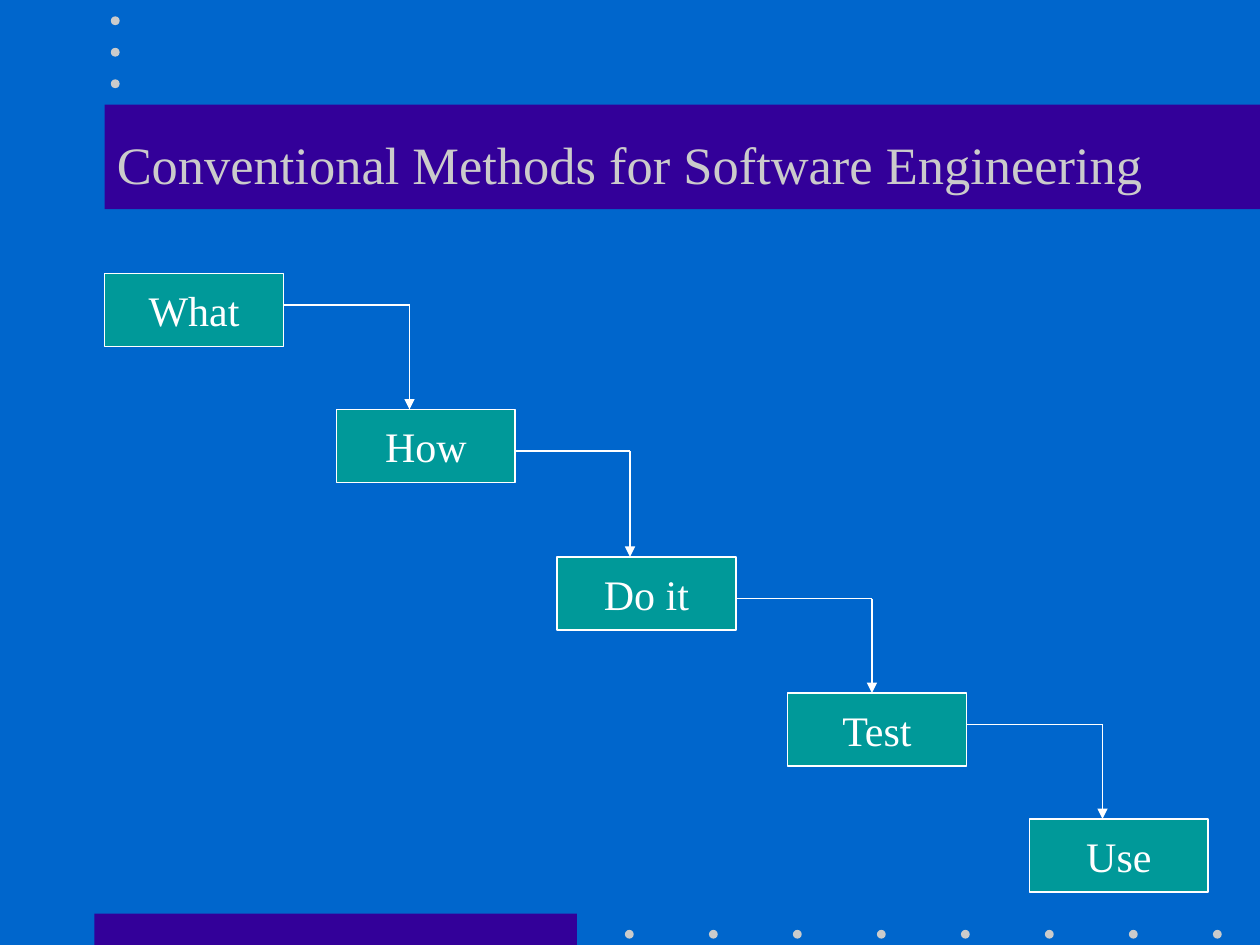
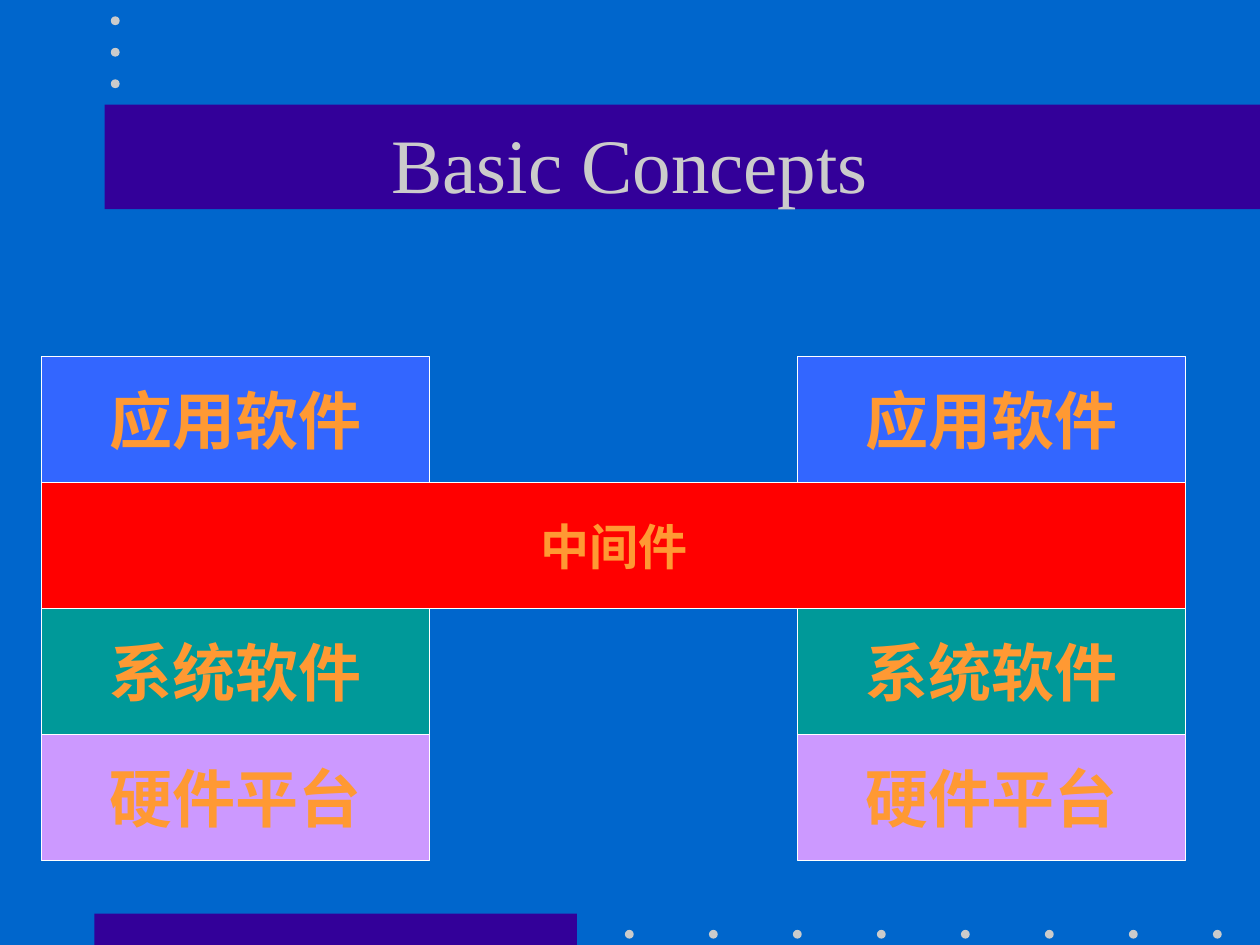
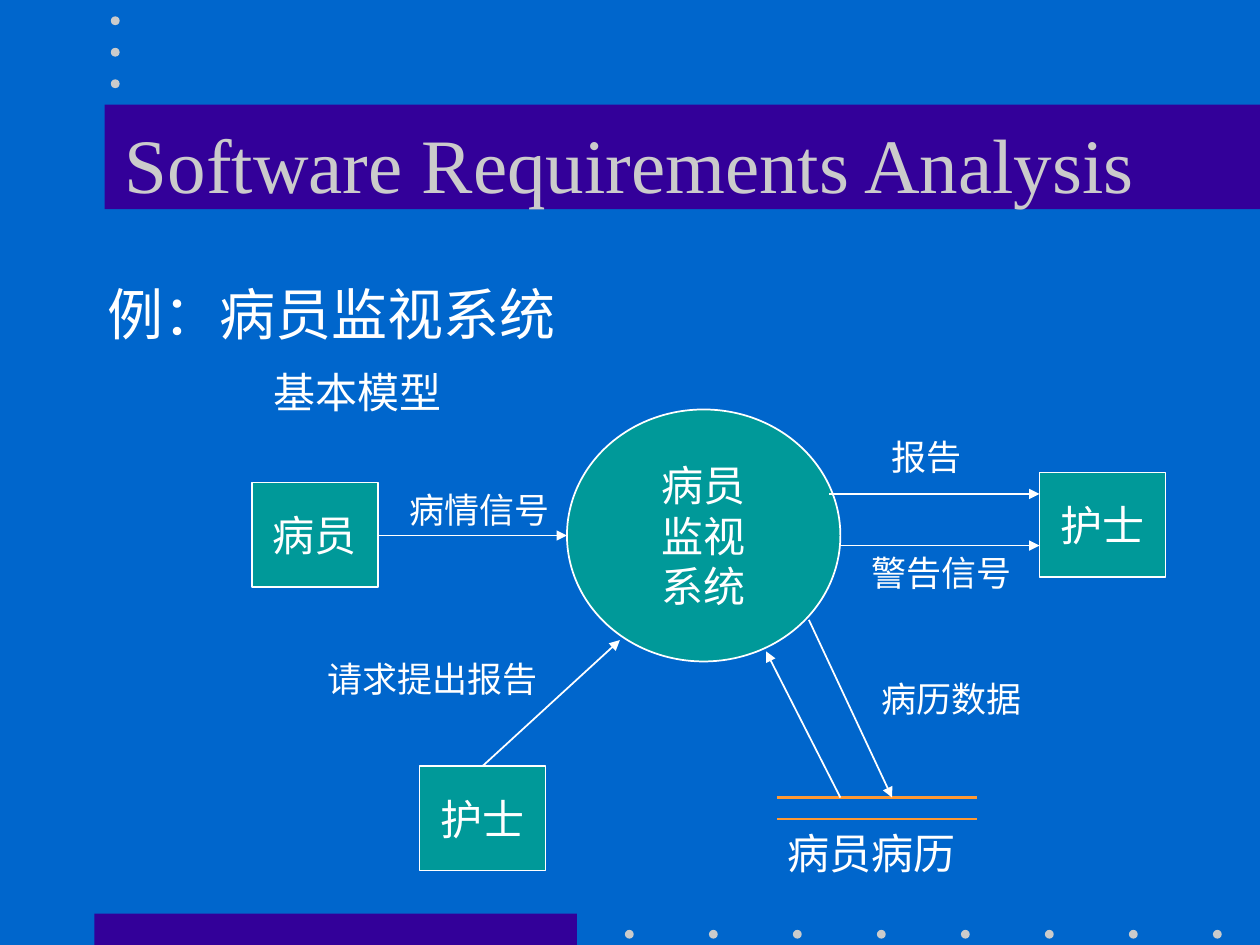
from lxml import etree
from pptx import Presentation
from pptx.dml.color import RGBColor
from pptx.enum.shapes import MSO_CONNECTOR, MSO_SHAPE
from pptx.enum.text import MSO_ANCHOR, MSO_AUTO_SIZE, PP_ALIGN
from pptx.oxml.ns import qn
from pptx.util import Inches, Pt

RECT, OVAL = MSO_SHAPE.RECTANGLE, MSO_SHAPE.OVAL
STRAIGHT = MSO_CONNECTOR.STRAIGHT
LEFT, CENTER = PP_ALIGN.LEFT, PP_ALIGN.CENTER
TOP, MIDDLE = MSO_ANCHOR.TOP, MSO_ANCHOR.MIDDLE
NO_FIT = MSO_AUTO_SIZE.NONE

COLORS = {
    "back": "0066CC", "band": "330099", "dot": "CBCBCB", "title": "CBCBCB",
    "text": "FFFFFF", "line": "FFFFFF", "node": "009999", "accent": "FF9933",
    "app": "3366FF", "middle": "FF0000", "system": "009999", "hardware": "CC99FF",
}
SERIF, SANS = "Times New Roman", "Cabin"
NODE_FONT = {"name": SERIF, "size": Pt(24), "bold": False}
LAYER_FONT = {"name": SANS, "size": Pt(36), "bold": True}
MIDDLE_FONT = {**LAYER_FONT, "size": Pt(28)}


def rgb(key):
    """Return the palette colour for a key."""
    return RGBColor.from_string(COLORS[key])


def write(tf, text, font, color="text", align=CENTER, anchor=MIDDLE, wrap=False):
    """Fill a text frame, one paragraph per line of text."""
    frame = {"word_wrap": wrap, "auto_size": NO_FIT, "vertical_anchor": anchor,
             "margin_left": Inches(0.1), "margin_right": Inches(0.1),
             "margin_top": Inches(0.05), "margin_bottom": Inches(0.05)}
    for name, value in frame.items():
        setattr(tf, name, value)
    for i, line in enumerate(text.split("\n")):
        p = tf.add_paragraph() if i else tf.paragraphs[0]
        p.alignment, p.space_before = align, Pt(0)
        r = p.add_run()
        r.text = line
        for name, value in font.items():
            setattr(r.font, name, value)
        r.font.color.rgb = rgb(color)


def place(sp, x, y, w, h):
    """Move and size a shape."""
    for name, value in zip(("left", "top", "width", "height"), (x, y, w, h)):
        setattr(sp, name, Inches(value))


def add_box(s, kind, x, y, w, h, fill, line_width=0):
    """Add a filled shape, outlined when a line width is given."""
    sp = s.shapes.add_shape(kind, *map(Inches, (x, y, w, h)))
    sp.shadow.inherit = False
    sp.fill.solid()
    sp.fill.fore_color.rgb = rgb(fill)
    if line_width:
        sp.line.color.rgb = rgb("line")
        sp.line.width = Pt(line_width)
    else:
        sp.line.fill.background()
    return sp


def add_line(s, x1, y1, x2, y2, color="line", width=1, arrow=False):
    """Add a straight line, with an arrowhead at its end if asked."""
    c = s.shapes.add_connector(STRAIGHT, *map(Inches, (x1, y1, x2, y2)))
    c.line.color.rgb = rgb(color)
    c.line.width = Pt(width)
    spPr = c.element.spPr
    if arrow:
        etree.SubElement(spPr.find(qn("a:ln")), qn("a:tailEnd"), type="triangle")
    etree.SubElement(spPr, qn("a:effectLst"))


def add_label(s, x, y, text, size):
    """Add a one-line label sized to its full-width characters."""
    w, h = len(text) * size / 72 + 0.2, size / 60 + 0.1
    sp = s.shapes.add_textbox(*map(Inches, (x, y, w, h)))
    write(sp.text_frame, text, {**NODE_FONT, "size": Pt(size)}, align=LEFT, anchor=TOP)


def decorate_master(prs, s):
    """Put the background, bands and dots on the slide master."""
    master = prs.slide_master
    master.background.fill.solid()
    master.background.fill.fore_color.rgb = rgb("back")
    parts = [add_box(s, RECT, 0.75, 7.25, 3.83, 0.25, "band"),
             add_box(s, RECT, 0.83, 0.83, 9.17, 0.83, "band")]
    dots = [(4.96 + i * 2 / 3, 7.38) for i in range(8)]
    dots += [(0.88, 0.13 + i * 0.25) for i in range(3)]
    parts += [add_box(s, OVAL, x, y, 0.07, 0.07, "dot") for x, y in dots]
    for i, sp in enumerate(parts):
        master.shapes.element.insert(2 + i, sp.element)


def add_slide(prs, layout, title, size=44):
    """Add a slide with its title on the band."""
    s = prs.slides.add_slide(prs.slide_layouts.get_by_name(layout))
    place(s.shapes.title, 0.75, 0.67, 8.5, 1.25)
    write(s.shapes.title.text_frame, title, {"name": SERIF, "size": Pt(size)},
          "title", wrap=True)
    return s


def draw_waterfall(s, left, top):
    """Draw the phases as a staircase joined by bent arrows."""
    w, h = 1.42, 0.58
    steps = [("What", 0, 0), ("How", 1.84, 1.08), ("Do it", 3.59, 2.25),
             ("Test", 5.42, 3.33), ("Use", 7.34, 4.33)]
    bends = [(2.42, 0.25), (4.17, 1.41), (6.09, 2.58), (7.92, 3.58)]
    for text, x, y in steps:
        sp = add_box(s, RECT, left + x, top + y, w, h, "node", 1)
        write(sp.text_frame, text, NODE_FONT)
    for (_, x, _), (_, _, next_y), (bend_x, bend_y) in zip(steps, steps[1:], bends):
        corner = left + bend_x, top + bend_y
        add_line(s, left + x + w, corner[1], *corner)
        add_line(s, *corner, corner[0], top + next_y, arrow=True)


def draw_layers(s, left, top, width):
    """Draw two software stacks bridged by one middleware bar."""
    w, h = 3.08, 1
    layers = [("应用软件", "app", 0), ("系统软件", "system", 2), ("硬件平台", "hardware", 3)]
    cells = [(text, fill, x, row, w, LAYER_FONT)
             for x in (left, left + width - w) for text, fill, row in layers]
    cells.append(("中间件", "middle", left, 1, width, MIDDLE_FONT))
    for text, fill, x, row, cell_w, font in cells:
        sp = add_box(s, RECT, x, top + row * h, cell_w, h, fill, 0.75)
        write(sp.text_frame, text, font, "accent")


def draw_data_flow(s, left, top):
    """Draw the monitoring system with its sources, sinks and record store."""
    nodes = [(OVAL, "病员\n监视\n系统", 2.5, 0.5, 2.17, 2),
             (RECT, "病员", 0, 1.08, 1, 0.83),
             (RECT, "护士", 6.25, 1, 1, 0.83),
             (RECT, "护士", 1.33, 3.33, 1, 0.83)]
    flows = [(1, 1.5, 2.5, 1.5), (4.58, 1.17, 6.25, 1.17), (4.67, 1.58, 6.25, 1.58),
             (1.83, 3.33, 2.92, 2.33), (4.67, 3.58, 4.08, 2.42), (4.42, 2.17, 5.08, 3.58)]
    labels = [("病员病历", 4.15, 3.77, 24), ("基本模型", 0.07, 0.11, 24),
              ("病情信号", 1.15, 1.08, 20), ("报告", 4.98, 0.66, 20),
              ("警告信号", 4.82, 1.58, 20), ("病历数据", 4.9, 2.58, 20),
              ("请求提出报告", 0.5, 2.42, 20)]
    for kind, text, x, y, w, h in nodes:
        sp = add_box(s, kind, left + x, top + y, w, h, "node", 1)
        write(sp.text_frame, text, NODE_FONT)
    for y in (3.58, 3.75):
        add_line(s, left + 4.17, top + y, left + 5.75, top + y, "accent", 1.5)
    for x1, y1, x2, y2 in flows:
        add_line(s, left + x1, top + y1, left + x2, top + y2, arrow=True)
    for text, x, y, size in labels:
        add_label(s, left + x, top + y, text, size)


def fill_body(s, text):
    """Write the example heading in the body placeholder, without a bullet."""
    body = s.placeholders[1]
    place(body, 0.75, 2.17, 8.5, 4.5)
    pPr = body.text_frame.paragraphs[0]._p.get_or_add_pPr()
    pPr.set("marL", str(Inches(0.38)))
    pPr.set("indent", str(Inches(-0.38)))
    etree.SubElement(pPr, qn("a:buNone"))
    write(body.text_frame, text, {"name": SERIF, "size": Pt(32)},
          align=LEFT, anchor=TOP, wrap=True)


def main():
    """Build the three slides and save them."""
    prs = Presentation()
    prs.slide_width, prs.slide_height = Inches(10), Inches(7.5)

    s = add_slide(prs, "Title Only", "Conventional Methods for Software Engineering", 30)
    decorate_master(prs, s)
    draw_waterfall(s, 0.83, 2.17)

    s = add_slide(prs, "Title Only", "Basic Concepts")
    draw_layers(s, 0.33, 2.83, 9.08)

    s = add_slide(prs, "Title and Content", "Software Requirements Analysis")
    fill_body(s, "例：病员监视系统")
    draw_data_flow(s, 2, 2.75)

    prs.save("out.pptx")


if __name__ == "__main__":
    main()
